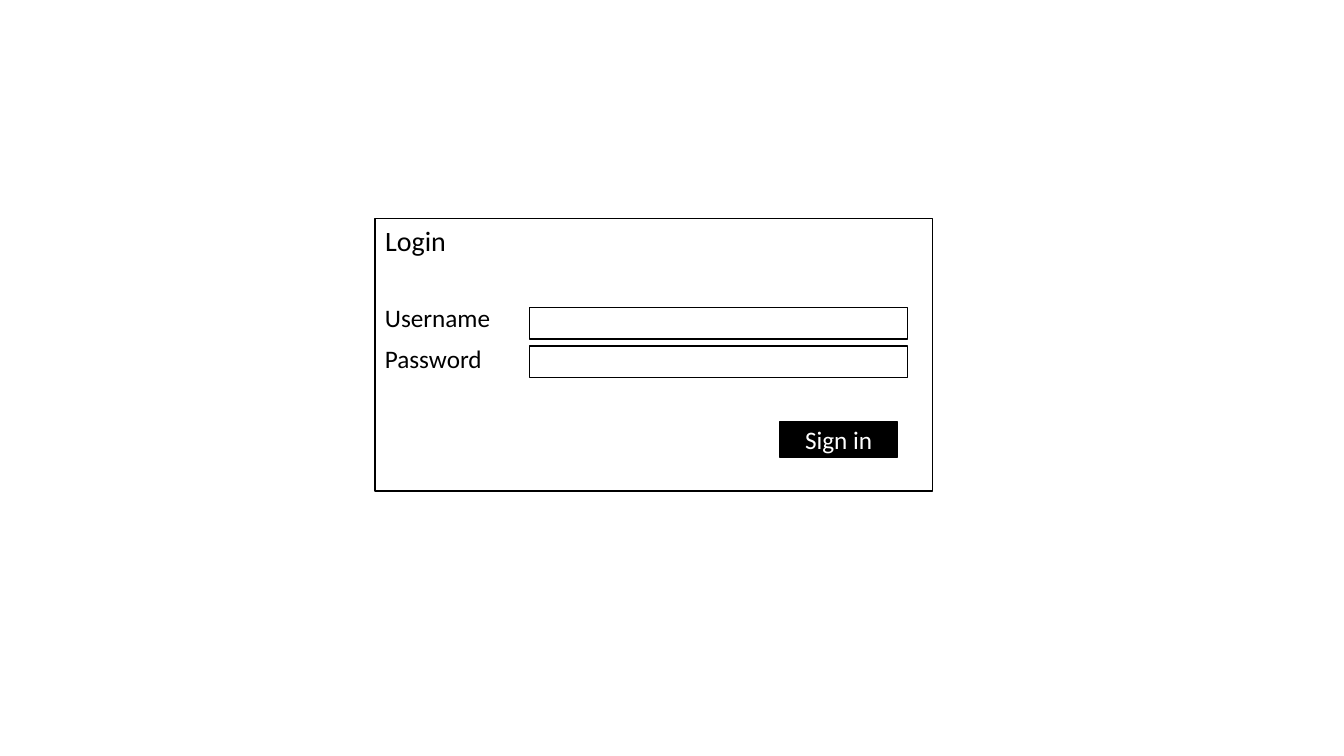
"""Build a slide with a login form wireframe."""
import pptx
import pptx.util
import pptx.dml.color
import pptx.enum.shapes
import pptx.enum.text

Cm, Pt = pptx.util.Cm, pptx.util.Pt
ALIGN = pptx.enum.text.PP_ALIGN
ANCHOR = pptx.enum.text.MSO_ANCHOR
BLACK = pptx.dml.color.RGBColor(0, 0, 0)
WHITE = pptx.dml.color.RGBColor(255, 255, 255)

TITLE = "Login"
LABELS = ["Username", "Password"]
BUTTON = "Sign in"

LEFT, TOP = 9.45, 5.51
PANEL = (LEFT, TOP, 14.05, 6.86)
HEAD = (LEFT, TOP, 9.58, 1.12)
SIGN = (19.66, 10.62, 2.95, 0.91)
LABEL_TOP, LABEL_STEP = 7.49, 1.04
FIELD_TOP, FIELD_STEP = 7.75, 0.97


def place(shape, box):
    shape.left, shape.top, shape.width, shape.height = map(Cm, box)


def write(shape, text, size, color, align, anchor):
    frame = shape.text_frame
    frame.word_wrap = True
    frame.vertical_anchor = anchor
    para = frame.paragraphs[0]
    para.alignment = align
    run = para.add_run()
    run.text = text
    run.font.name = "Calibri"
    run.font.size = Pt(size)
    run.font.color.rgb = color


def draw(slide, box, fill):
    kind = pptx.enum.shapes.MSO_SHAPE.RECTANGLE
    shape = slide.shapes.add_shape(kind, *map(Cm, box))
    shape.shadow.inherit = False
    shape.fill.solid()
    shape.fill.fore_color.rgb = fill
    shape.line.color.rgb = BLACK
    shape.line.width = Pt(1)
    return shape


def label(shape, text, size):
    write(shape, text, size, BLACK, ALIGN.LEFT, ANCHOR.TOP)
    shape.text_frame.auto_size = pptx.enum.text.MSO_AUTO_SIZE.SHAPE_TO_FIT_TEXT


deck = pptx.Presentation()
deck.slide_width, deck.slide_height = Cm(33.87), Cm(19.05)
slide = deck.slides.add_slide(deck.slide_layouts.get_by_name("Title Only"))

panel = draw(slide, PANEL, WHITE)
title = slide.shapes.title
panel.element.addnext(title.element)
place(title, HEAD)
label(title, TITLE, 20)

for row, text in enumerate(LABELS):
    box = (LEFT, LABEL_TOP + row * LABEL_STEP, 5.56, 1.02)
    label(slide.shapes.add_textbox(*map(Cm, box)), text, 18)
    draw(slide, (13.34, FIELD_TOP + row * FIELD_STEP, 9.53, 0.79), WHITE)

button = draw(slide, SIGN, BLACK)
write(button, BUTTON, 18, WHITE, ALIGN.CENTER, ANCHOR.MIDDLE)

deck.save("out.pptx")
